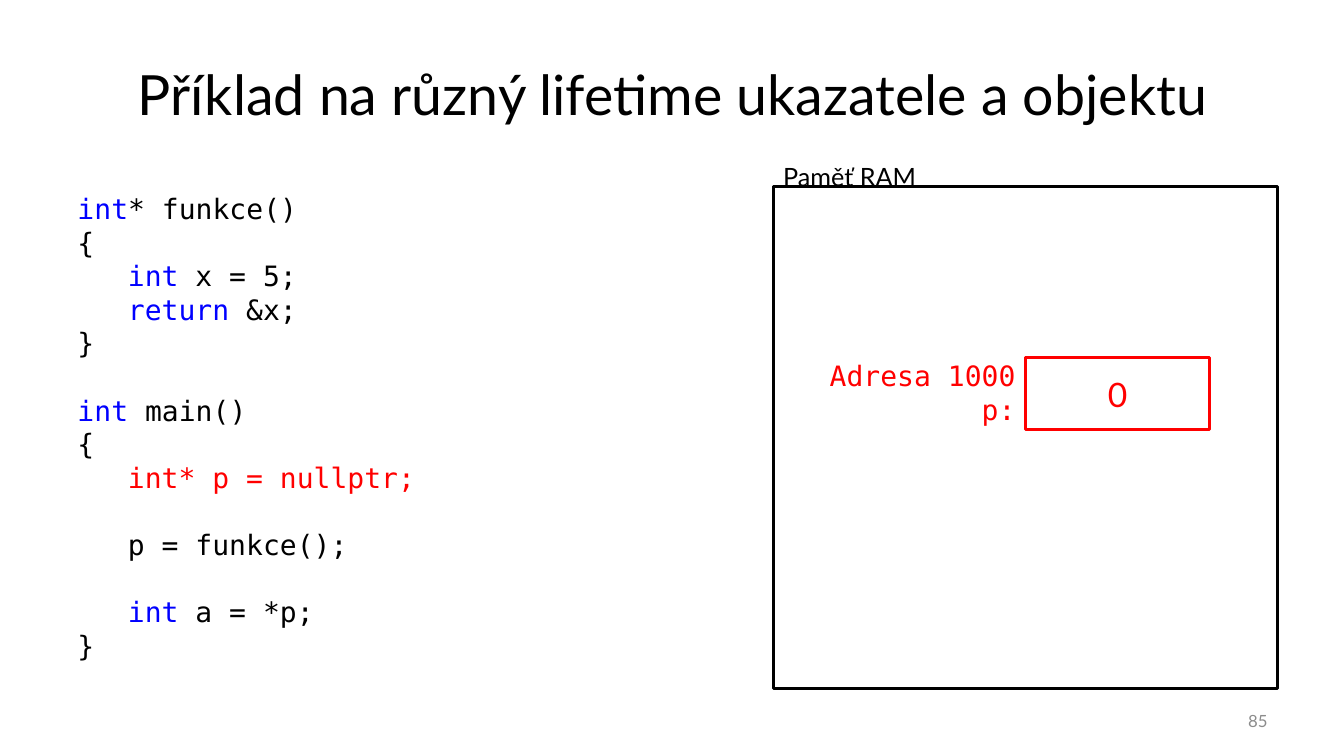
from collections import namedtuple
from dataclasses import dataclass

from pptx import Presentation
from pptx.dml.color import RGBColor
from pptx.enum.shapes import MSO_SHAPE
from pptx.enum.text import MSO_ANCHOR, PP_ALIGN
from pptx.util import Pt

EMU_PER_PX = 9144
Box = namedtuple("Box", "left top width height")
Run = namedtuple("Run", "text color")


@dataclass(frozen=True)
class Theme:
    """Colours, fonts and type sizes of the slide."""
    black: str = "000000"
    white: str = "FFFFFF"
    red: str = "FF0000"
    blue: str = "0000FF"
    grey: str = "8C8C8C"
    sans: str = "Lato"
    mono: str = "DejaVu Sans Mono"
    title: float = 39.6
    value: int = 24
    code: int = 20
    label: int = 18
    number: int = 12
    code_line: int = 24
    outline: int = 2


THEME = Theme()
INDENT = 50


def px(length):
    """Turn pixels into EMU."""
    return length * EMU_PER_PX


def emu(box):
    """Turn a box into EMU lengths."""
    return [px(length) for length in box]


def add_line(paragraph, runs, font, size, align=PP_ALIGN.LEFT):
    """Fill a paragraph with coloured runs."""
    paragraph.alignment = align
    for text, color in runs:
        run = paragraph.add_run()
        run.text = text
        run.font.name = font
        run.font.size = Pt(size)
        run.font.color.rgb = RGBColor.from_string(color)


def next_paragraph(frame, index):
    """Return the first paragraph or append another."""
    return frame.add_paragraph() if index else frame.paragraphs[0]


def add_text(slide, box, lines, font, size, align=PP_ALIGN.LEFT, anchor=MSO_ANCHOR.MIDDLE):
    """Place a text box with one paragraph per line."""
    frame = slide.shapes.add_textbox(*emu(box)).text_frame
    frame.word_wrap = True
    frame.vertical_anchor = anchor
    for index, run in enumerate(lines):
        add_line(next_paragraph(frame, index), [run], font, size, align)


def add_frame(slide, box, color):
    """Draw a white rectangle with a coloured outline."""
    rectangle = slide.shapes.add_shape(MSO_SHAPE.RECTANGLE, *emu(box))
    rectangle.shadow.inherit = False
    rectangle.fill.solid()
    rectangle.fill.fore_color.rgb = RGBColor.from_string(THEME.white)
    rectangle.line.color.rgb = RGBColor.from_string(color)
    rectangle.line.width = Pt(THEME.outline)
    return rectangle


def add_memory(slide, box):
    """Draw the RAM with its caption and the pointer cell."""
    add_frame(slide, box, THEME.black)
    caption = Box(box.left, box.top - 30, 186, 40)
    add_text(slide, caption, [Run("Paměť RAM", THEME.black)],
             THEME.sans, THEME.label, anchor=MSO_ANCHOR.TOP)

    cell = Box(box.left + 250, box.top + 170, 183, 71)
    pointer = add_frame(slide, cell, THEME.red).text_frame
    pointer.vertical_anchor = MSO_ANCHOR.MIDDLE
    add_line(pointer.paragraphs[0], [Run("0", THEME.red)],
             THEME.sans, THEME.value, PP_ALIGN.CENTER)

    address = Box(cell.left - 208, cell.top - 4, 208, 77)
    add_text(slide, address, [Run("Adresa 1000", THEME.red), Run("p:", THEME.red)],
             THEME.mono, THEME.code, PP_ALIGN.RIGHT)


def add_code(slide, box, blocks):
    """Write code blocks, each one line apart from the block before."""
    frame = slide.shapes.add_textbox(*emu(box)).text_frame
    frame.word_wrap = True
    lines = [(number and not row, level, runs)
             for number, block in enumerate(blocks)
             for row, (level, runs) in enumerate(block)]
    for index, (gap, level, runs) in enumerate(lines):
        paragraph = next_paragraph(frame, index)
        if level:
            properties = paragraph._p.get_or_add_pPr()
            properties.set("marL", str(px(INDENT * level)))
            properties.set("indent", "0")
        if gap:
            paragraph.space_before = Pt(THEME.code_line)
        add_line(paragraph, runs, THEME.mono, THEME.code)


def build_lifetime_slide(slide, box):
    """Place the title, code, memory and slide number."""
    title = Box(box.left + 67, box.top + 30, 1200, 125)
    add_text(slide, title, [Run("Příklad na různý lifetime ukazatele a objektu", THEME.black)],
             THEME.sans, THEME.title, PP_ALIGN.CENTER)
    slide_number = Box(box.left + 956, box.top + 695, 311, 40)
    add_text(slide, slide_number, [Run("85", THEME.grey)],
             THEME.sans, THEME.number, PP_ALIGN.RIGHT)
    add_memory(slide, Box(box.left + 767, box.top + 185, 500, 498))

    black, blue, red = THEME.black, THEME.blue, THEME.red
    opening, closing = (0, [Run("{", black)]), (0, [Run("}", black)])
    blocks = [
        [(0, [Run("int", blue), Run("* funkce()", black)]),
         opening,
         (1, [Run("int", blue), Run(" x = 5;", black)]),
         (1, [Run("return", blue), Run(" &x;", black)]),
         closing],
        [(0, [Run("int ", blue), Run("main()", black)]),
         opening,
         (1, [Run("int* p = nullptr;", red)])],
        [(1, [Run("p = funkce();", black)])],
        [(1, [Run("int", blue), Run(" a = *p;", black)]),
         closing],
    ]
    add_code(slide, Box(box.left + 67, box.top + 185, 398, 481), blocks)


def main():
    """Build and save the presentation."""
    page = Box(0, 0, 1333, 750)
    presentation = Presentation()
    presentation.slide_width = px(page.width)
    presentation.slide_height = px(page.height)
    slide = presentation.slides.add_slide(presentation.slide_layouts[6])
    build_lifetime_slide(slide, page)
    presentation.save("out.pptx")


if __name__ == "__main__":
    main()
